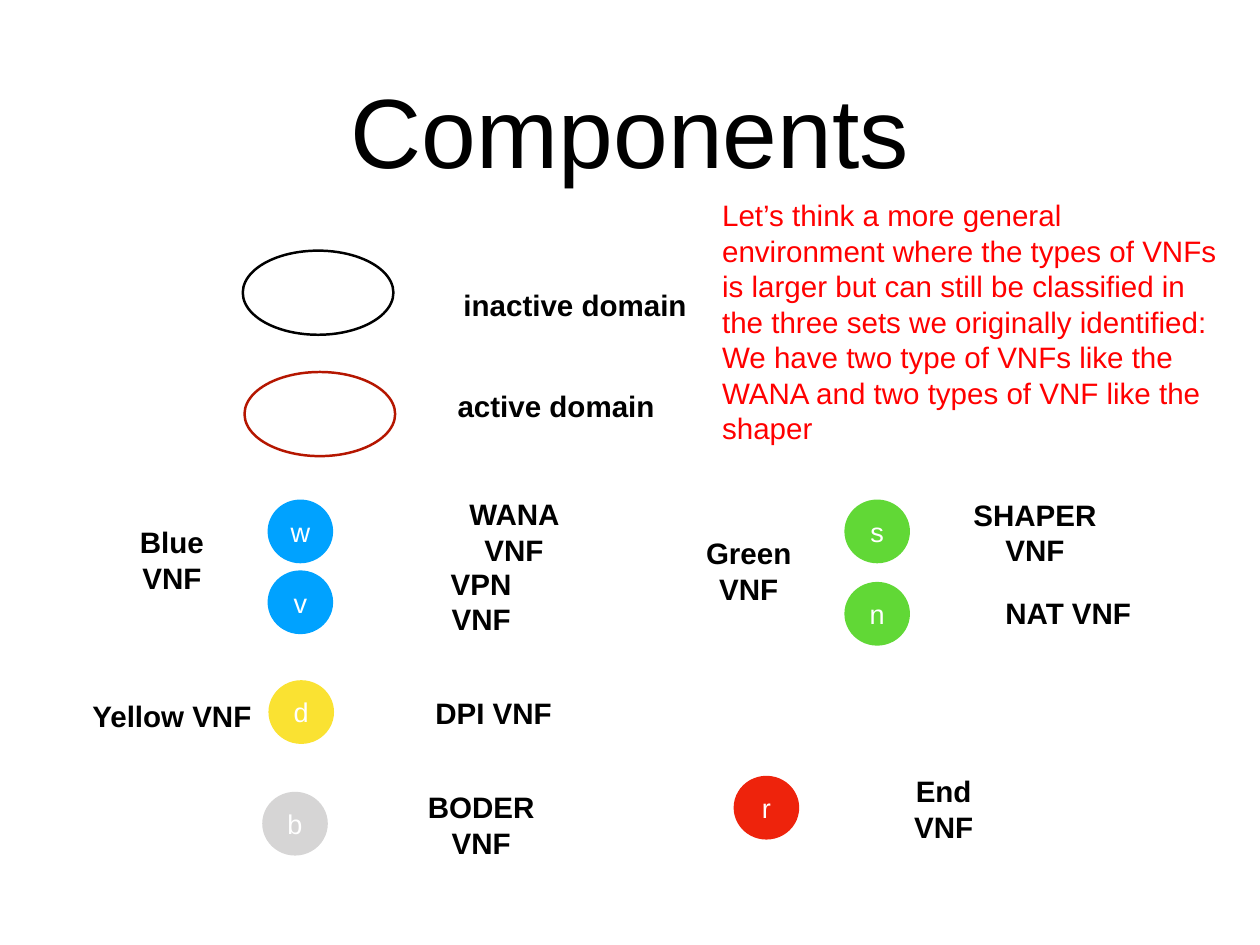
from pptx import Presentation
from pptx.dml.color import RGBColor
from pptx.enum.shapes import MSO_SHAPE as Shape
from pptx.enum.text import MSO_ANCHOR as Anchor, PP_ALIGN as Align
from pptx.util import Emu, Pt

PX = 9144  # 100 px to the inch
BLACK, WHITE, RED = "000000", "FFFFFF", "FF0000"
BLUE, GREEN, YELLOW, GRAY, END_RED = "00A2FF", "61D836", "FAE232", "D6D5D5", "EE230C"

DOMAINS = [(274, 283, BLACK), (276, 420, "B51600")]
VNFS = [
    ("w", 302, 564, BLUE),
    ("v", 302, 644, BLUE),
    ("d", 303, 768, YELLOW),
    ("b", 296, 894, GRAY),
    ("s", 953, 564, GREEN),
    ("n", 953, 657, GREEN),
    ("r", 828, 876, END_RED),
]
# text, left, top, width
ONE_LINE_LABELS = [
    ("inactive domain", 517, 318, 264),
    ("active domain", 510, 433, 235),
    ("WANA VNF", 486, 575, 188),
    ("DPI VNF", 485, 779, 144),
    ("NAT VNF", 1128, 666, 155),
    ("Yellow VNF", 97, 782, 194),
    ("Green VNF", 753, 619, 184),
]
TWO_LINE_LABELS = [
    ("Blue VNF", 139, 588, 110),
    ("VPN VNF", 488, 635, 110),
    ("BODER VNF", 468, 887, 150),
    ("SHAPER VNF", 1088, 557, 160),
    ("End VNF", 1010, 869, 110),
]
REMARK = [
    "Let’s think a more general environment where the types of VNFs is larger "
    "but can still be classified in the three sets we originally identified:",
    "We have two type of VNFs like the WANA and two types of VNF like the shaper",
]


def px(*lengths):
    return [Emu(length * PX) for length in lengths]


def color(hex_string):
    return RGBColor.from_string(hex_string)


def write(shape, text, size, hex_color, align=Align.CENTER, bold=False, wrap=True):
    frame = shape.text_frame
    frame.text = text
    frame.word_wrap = wrap
    frame.vertical_anchor = Anchor.MIDDLE
    frame.margin_left, frame.margin_top, frame.margin_right, frame.margin_bottom = px(6, 6, 6, 6)
    for paragraph in frame.paragraphs:
        paragraph.alignment = align
        for run in paragraph.runs:
            run.font.name = "Arial"
            run.font.size = Pt(size)
            run.font.bold = bold
            run.font.color.rgb = color(hex_color)


def add_text(slide, text, box, size, hex_color, **style):
    write(slide.shapes.add_textbox(*px(*box)), text, size, hex_color, **style)


def add_ellipse(slide, left, top, width, height):
    shape = slide.shapes.add_shape(Shape.OVAL, *px(left, top, width, height))
    shape.shadow.inherit = False
    return shape


def add_domain(slide, left, top, line_color):
    shape = add_ellipse(slide, left, top, 170, 95)
    shape.fill.background()
    shape.line.color.rgb = color(line_color)
    shape.line.width = Pt(2)


def add_vnf(slide, letter, left, top, fill_color):
    shape = add_ellipse(slide, left, top, 74, 72)
    shape.fill.solid()
    shape.fill.fore_color.rgb = color(fill_color)
    shape.line.fill.background()
    write(shape, letter, 22, WHITE)


def main():
    presentation = Presentation()
    presentation.slide_width, presentation.slide_height = px(1422, 1067)
    slide = presentation.slides.add_slide(presentation.slide_layouts[6])

    add_text(slide, "Components", (104, 28, 1214, 236), 80, BLACK)
    for domain in DOMAINS:
        add_domain(slide, *domain)
    for vnf in VNFS:
        add_vnf(slide, *vnf)
    for text, left, top, width in ONE_LINE_LABELS:
        add_text(slide, text, (left, top, width, 51), 24, BLACK, bold=True, wrap=False)
    for text, left, top, width in TWO_LINE_LABELS:
        add_text(slide, text, (left, top, width, 88), 24, BLACK, bold=True)
    add_text(slide, "\n".join(REMARK), (809, 216, 573, 294), 24, RED, align=Align.LEFT)

    presentation.save("out.pptx")


if __name__ == "__main__":
    main()
